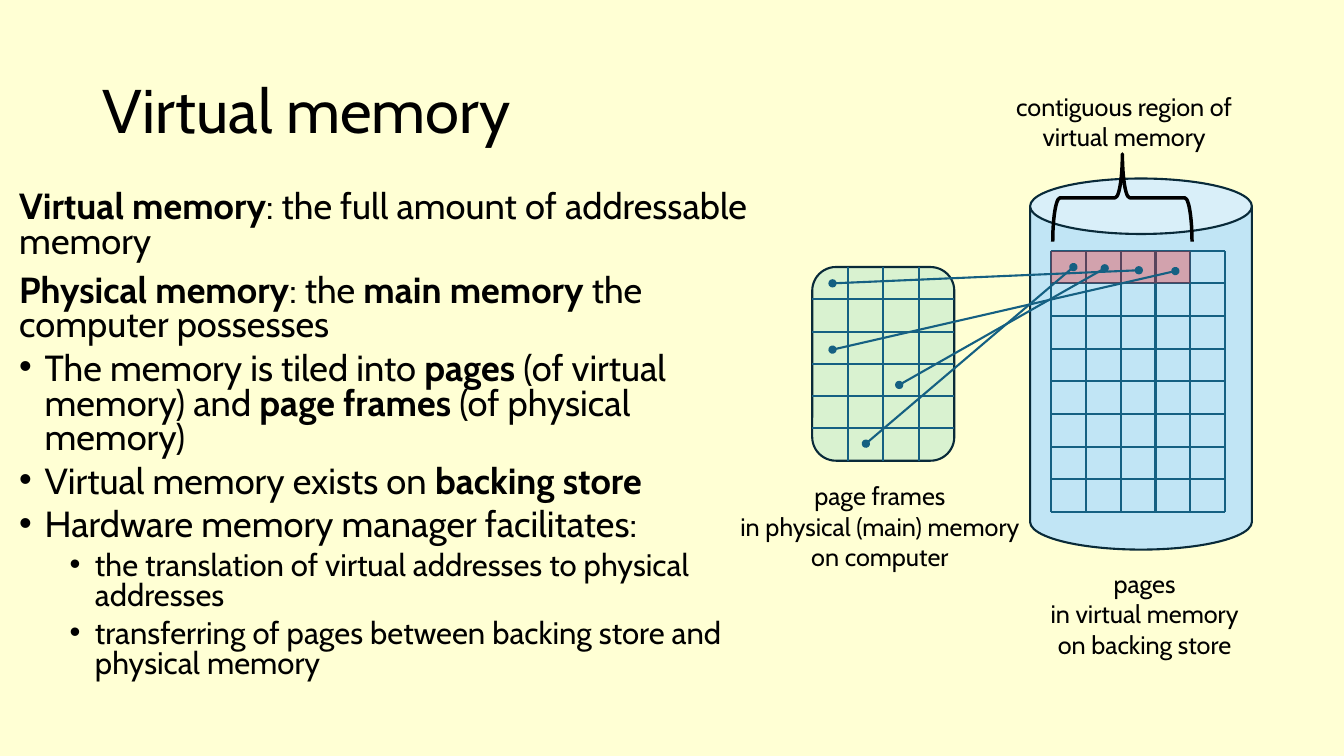
from lxml import etree
from pptx import Presentation
from pptx.dml.color import RGBColor
from pptx.enum import shapes, text
from pptx.oxml import ns
from pptx.util import Cm, Pt

FONT = "Cabin"
COLORS = {
    "back": "FFFFD4", "ink": "000000", "line": "156082", "edge": "092A39",
    "frame": "D9F2D0", "disk": "C1E5F5", "region": "FF0000",
}
TITLE = "Virtual memory"
# Stars enclose bold words; each kind names an entry of STYLES.
BODY = [
    ("term", "*Virtual memory*: the full amount of addressable memory"),
    ("term", "*Physical memory*: the *main memory *the computer possesses"),
    ("item", "The memory is tiled into *pages* (of virtual memory) and "
             "*page frames* (of physical memory)"),
    ("item", "Virtual memory exists on *backing store*"),
    ("item", "Hardware memory manager facilitates:"),
    ("sub", "the translation of virtual addresses to physical addresses"),
    ("sub", "transferring of pages between backing store and physical memory"),
]
STYLES = {
    "term": {"level": 0, "indent": 0, "hang": 0, "before": 10, "size": 25.9},
    "item": {"level": 0, "indent": 0.64, "hang": 0.64, "before": 6, "size": 25.9},
    "sub": {"level": 1, "indent": 1.91, "hang": 0.64, "before": 6, "size": 22.2},
}

# Boxes in cm: left, top, width, height
TITLE_BOX = (2.34, 1.02, 29.21, 3.68)
BODY_BOX = (0.23, 4.7, 19.41, 13.61)
FRAMES = (20.47, 6.73, 3.58, 4.88)
DISK = (25.96, 4.5, 5.59, 9.35)
PAGES = (26.48, 6.32, 4.4, 6.58)
BRACE = (27.18, 3.23, 2.21, 3.51)
FRAME_GRID = (6, 4)
PAGE_GRID = (8, 5)
REGION_COLS = 4
LABELS = {
    "frames": ("page frames\nin physical (main) memory\non computer",
               (18.29, 11.99, 7.77, 2.57)),
    "pages": ("pages\nin virtual memory\non backing store",
              (26.19, 14.2, 5.31, 2.57)),
    "region": ("contiguous region of\nvirtual memory",
               (25.27, 2.18, 6.12, 1.8)),
}
# Page frame point, page point
MAPS = [
    ((21.82, 11.18), (27.05, 6.73)),
    ((20.98, 7.14), (28.7, 6.81)),
    ((20.98, 8.81), (29.62, 6.83)),
    ((22.66, 9.7), (27.84, 6.76)),
]


def tint(name):
    return RGBColor.from_string(COLORS[name])


def sub(node, tag, **attrs):
    return etree.SubElement(node, ns.qn(tag), attrs)


def style(font, size):
    for key, val in {"name": FONT, "size": Pt(size)}.items():
        setattr(font, key, val)
    font.color.rgb = tint("ink")


def place(shape, box):
    for key, val in zip(("left", "top", "width", "height"), box):
        setattr(shape, key, Cm(val))


def draw(group, kind, box, fill=None, edge=None, width=1.5):
    shape = group.shapes.add_shape(kind, *map(Cm, box))
    shape.shadow.inherit = False
    if fill:
        shape.fill.solid()
        shape.fill.fore_color.rgb = tint(fill)
    else:
        shape.fill.background()
    if edge:
        shape.line.color.rgb = tint(edge)
        shape.line.width = Pt(width)
    else:
        shape.line.fill.background()
    return shape


def link(group, start, end, dots=False):
    line = group.shapes.add_connector(
        shapes.MSO_CONNECTOR.STRAIGHT, *map(Cm, start + end))
    line.line.color.rgb = tint("line")
    line.line.width = Pt(1.5)
    if dots:
        for tag in ("a:headEnd", "a:tailEnd"):
            sub(line.line._get_or_add_ln(), tag, type="oval")
    sub(line._element.spPr, "a:effectLst")


def grid(group, box, size, rim):
    """Rule a box into rows and columns, with its outer lines if rim is set."""
    left, top, width, height = box
    rows, cols = size
    skip = 0 if rim else 1
    for row in range(skip, rows + 1 - skip):
        y = top + height * row / rows
        link(group, (left, y), (left + width, y))
    for col in range(skip, cols + 1 - skip):
        x = left + width * col / cols
        link(group, (x, top), (x, top + height))


def label(group, name):
    words, box = LABELS[name]
    frame = group.shapes.add_textbox(*map(Cm, box)).text_frame
    frame.word_wrap = False
    frame.text = words
    for para in frame.paragraphs:
        para.alignment = text.PP_ALIGN.CENTER
        style(para.font, 18)


def write_title(shape):
    place(shape, TITLE_BOX)
    frame = shape.text_frame
    frame.text = TITLE
    frame.auto_size = text.MSO_AUTO_SIZE.NONE
    frame.vertical_anchor = text.MSO_ANCHOR.MIDDLE
    para = frame.paragraphs[0]
    para.alignment = text.PP_ALIGN.LEFT
    para.line_spacing = 0.9
    style(para.font, 44)


def write_body(shape):
    place(shape, BODY_BOX)
    frame = shape.text_frame
    frame.auto_size = text.MSO_AUTO_SIZE.NONE
    for num, (kind, words) in enumerate(BODY):
        look = STYLES[kind]
        para = frame.add_paragraph() if num else frame.paragraphs[0]
        props = para._p.get_or_add_pPr()
        props.set("marL", str(Cm(look["indent"])))
        props.set("indent", str(-Cm(look["hang"])))
        if look["hang"]:
            sub(props, "a:buFont", typeface="Arial")
            sub(props, "a:buChar", char="•")
        else:
            sub(props, "a:buNone")
        para.level = look["level"]
        para.line_spacing = 0.8
        para.space_before = Pt(look["before"] if num else 0)
        for part, piece in enumerate(words.split("*")):
            if piece:
                run = para.add_run()
                run.text = piece
                run.font.bold = part % 2 == 1
                style(run.font, look["size"])


def draw_frames(group):
    draw(group, shapes.MSO_SHAPE.ROUNDED_RECTANGLE, FRAMES, "frame", "edge")
    grid(group, FRAMES, FRAME_GRID, False)
    label(group, "frames")


def draw_pages(group):
    draw(group, shapes.MSO_SHAPE.CAN, DISK, "disk", "edge")
    grid(group, PAGES, PAGE_GRID, True)
    left, top, width, height = PAGES
    rows, cols = PAGE_GRID
    region = draw(group, shapes.MSO_SHAPE.RECTANGLE,
                  (left, top, width * REGION_COLS / cols, height / rows), "region")
    color = next(region._element.spPr.iter(ns.qn("a:srgbClr")))
    sub(color, "a:alpha", val="29000")
    label(group, "pages")
    brace = draw(group, shapes.MSO_SHAPE.LEFT_BRACE, BRACE, None, "ink", 2.5)
    brace.rotation = 90
    label(group, "region")


def main():
    deck = Presentation()
    deck.slide_width, deck.slide_height = Cm(33.87), Cm(19.05)
    slide = deck.slides.add_slide(deck.slide_layouts[1])
    slide.background.fill.solid()
    slide.background.fill.fore_color.rgb = tint("back")
    write_title(slide.shapes.title)
    write_body(slide.placeholders[1])
    draw_frames(slide.shapes.add_group_shape())
    draw_pages(slide.shapes.add_group_shape())
    arrows = slide.shapes.add_group_shape()
    for start, end in MAPS:
        link(arrows, start, end, True)
    deck.save("out.pptx")


if __name__ == "__main__":
    main()
